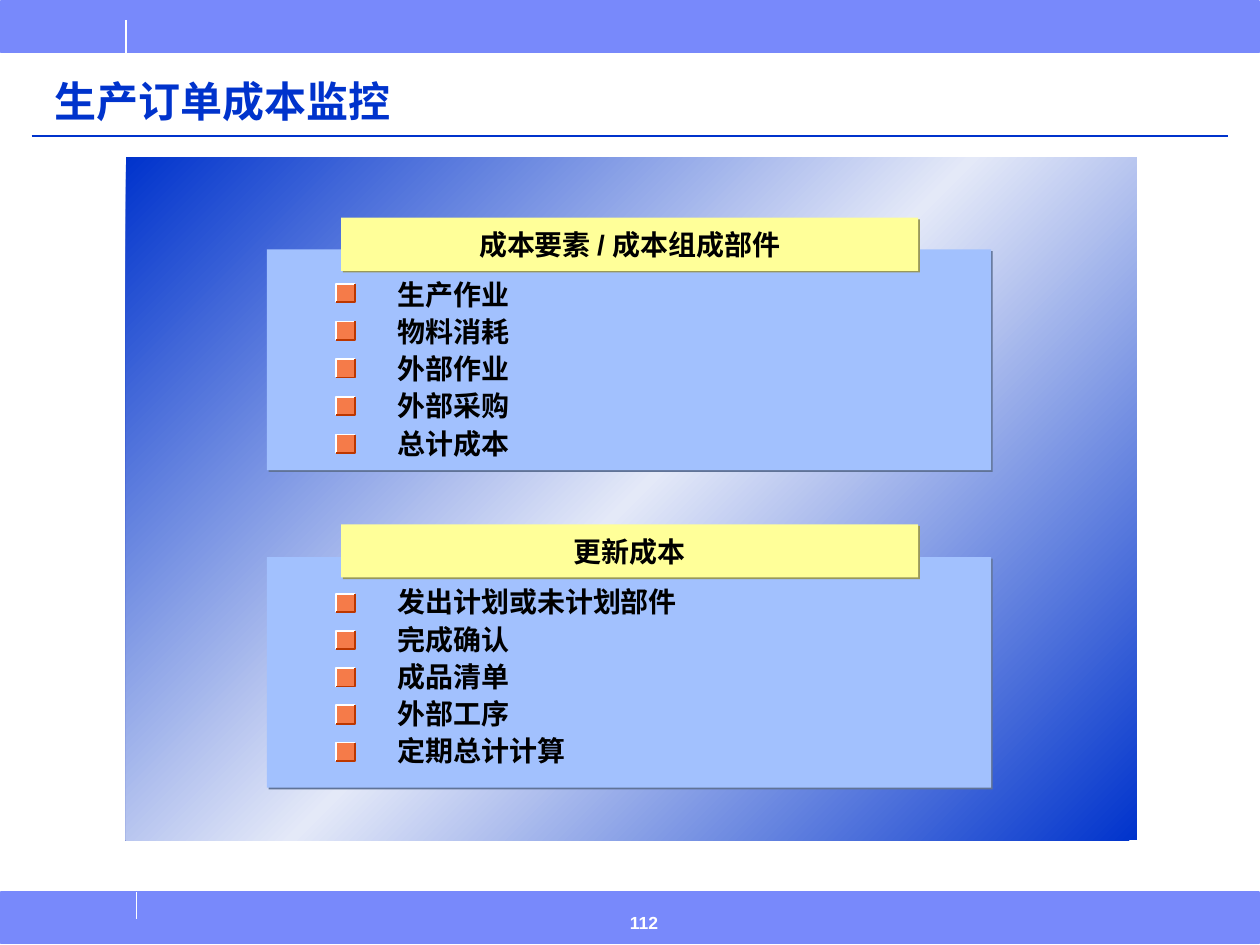
"""Build the slide on monitoring production order costs."""
from lxml.etree import SubElement
from pptx import Presentation
from pptx.dml.color import RGBColor
from pptx.enum.shapes import MSO_CONNECTOR, MSO_SHAPE
from pptx.enum.text import MSO_ANCHOR, PP_ALIGN
from pptx.oxml import parse_xml
from pptx.oxml.ns import nsdecls, qn
from pptx.util import Cm, Pt


def color(value):
    return RGBColor.from_string(value)


def add_box(page, left, top, width, height, fill, shadow=None):
    box = page.shapes.add_shape(MSO_SHAPE.RECTANGLE, Cm(left), Cm(top), Cm(width), Cm(height))
    box.shadow.inherit = False
    box.fill.solid()
    box.fill.fore_color.rgb = color(fill)
    box.line.fill.background()
    if shadow:
        effects = box._element.spPr.find(qn("a:effectLst"))
        outer = SubElement(effects, qn("a:outerShdw"), dist=str(Pt(1.4)), dir="2700000",
                           algn="ctr", rotWithShape="0")
        SubElement(outer, qn("a:srgbClr"), val=shadow)
    return box


deck = Presentation()
deck.slide_width, deck.slide_height = Cm(25.4), Cm(19.05)
page = deck.slides.add_slide(deck.slide_layouts[5])

for top in (0.02, 17.98):
    band = add_box(page, 0.02, top, 25.36, 1.04, "7889FB")
    band.line.color.rgb = color("7889FB")
    band.line.width = Pt(1)

for x1, y1, x2, y2, stroke in (
    (2.54, 0.41, 2.54, 1.07, "FFFFFF"),
    (2.75, 17.98, 2.75, 18.52, "FFFFFF"),
    (0.64, 2.74, 24.76, 2.74, "0033CC"),
):
    rule = page.shapes.add_connector(MSO_CONNECTOR.STRAIGHT, Cm(x1), Cm(y1), Cm(x2), Cm(y2))
    rule.line.color.rgb = color(stroke)
    rule.line.width = Pt(1)
    SubElement(rule._element.spPr, qn("a:effectLst"))

title = page.shapes.title
title.left, title.top, title.width, title.height = Cm(0.84), Cm(1.27), Cm(23.32), Cm(1.4)
title.text_frame.text = "生产订单成本监控"
title.text_frame.vertical_anchor = MSO_ANCHOR.BOTTOM
paragraph = title.text_frame.paragraphs[0]
paragraph.alignment = PP_ALIGN.LEFT
paragraph.line_spacing = 0.9
font = paragraph.runs[0].font
font.name, font.size, font.bold = "Times New Roman", Pt(24), True
font.color.rgb = color("0033CC")

backdrop = add_box(page, 2.54, 3.17, 20.38, 13.77, "0033CC")
properties = backdrop._element.spPr
stops = "".join(
    f'<a:gs pos="{place}"><a:srgbClr val="{shade}"/></a:gs>'
    for place, shade in ((0, "0033CC"), (50000, "E4E9F8"), (100000, "0033CC"))
)
properties.replace(properties.find(qn("a:solidFill")), parse_xml(
    f'<a:gradFill {nsdecls("a")} rotWithShape="1"><a:gsLst>{stops}</a:gsLst>'
    '<a:lin ang="13500000" scaled="0"/></a:gradFill>'))

panels = (
    ("成本要素 / 成本组成部件", 5.03, 4.45, 4.39, 5.72, 0.76,
     ("生产作业", "物料消耗", "外部作业", "外部采购", "总计成本")),
    ("更新成本", 11.23, 6.2, 10.57, 11.97, 0.75,
     ("发出计划或未计划部件", "完成确认", "成品清单", "外部工序", "定期总计计算")),
)
marker_left, marker_size = 6.78, 0.37

for heading, top, height, heading_top, marker_top, pitch, items in panels:
    height = 4.65 if heading_top > 10 else height
    panel = add_box(page, 5.38, top, 14.6, height, "A2C1FE", "607397")
    frame = panel.text_frame
    frame.word_wrap = True
    frame.vertical_anchor = MSO_ANCHOR.TOP
    frame.margin_left = frame.margin_right = Cm(2.64)
    frame.margin_top = frame.margin_bottom = Cm(0.64)
    frame.text = "\n".join(items)
    for index, paragraph in enumerate(frame.paragraphs):
        paragraph.alignment = PP_ALIGN.LEFT
        paragraph.line_spacing = 0.9
        paragraph.space_before = Pt(4 if index else 0)

    label = add_box(page, 6.88, heading_top, 11.63, 1.07, "FFFF99", "98985B")
    label.text_frame.text = heading
    label.text_frame.vertical_anchor = MSO_ANCHOR.MIDDLE
    label.text_frame.paragraphs[0].alignment = PP_ALIGN.CENTER

    for paragraph in (*frame.paragraphs, *label.text_frame.paragraphs):
        for span in paragraph.runs:
            span.font.name, span.font.size, span.font.bold = "Arial", Pt(16), True
            span.font.color.rgb = color("000000")

    for index in range(len(items)):
        upper = marker_top + index * pitch
        add_box(page, marker_left, upper, marker_size, marker_size, "F57B49")
        west, east = Cm(marker_left), Cm(marker_left + marker_size)
        north, south = Cm(upper), Cm(upper + marker_size)
        for corner, stroke in (((west, north), "FFFFFF"), ((east, south), "BC3700")):
            builder = page.shapes.build_freeform(east, north, scale=1.0)
            builder.add_line_segments([corner, (west, south)], close=False)
            edge = builder.convert_to_shape()
            edge.shadow.inherit = False
            edge.fill.background()
            edge.line.color.rgb = color(stroke)
            edge.line.width = Pt(1)

number = page.shapes.add_textbox(Cm(12.45), Cm(18.16), Cm(2.11), Cm(0.89))
number.text_frame.word_wrap = True
number.text_frame.vertical_anchor = MSO_ANCHOR.MIDDLE
number.text_frame.text = "112"
font = number.text_frame.paragraphs[0].runs[0].font
font.name, font.size, font.bold = "Arial", Pt(10), True
font.color.rgb = color("FFFFFF")

deck.save("out.pptx")
